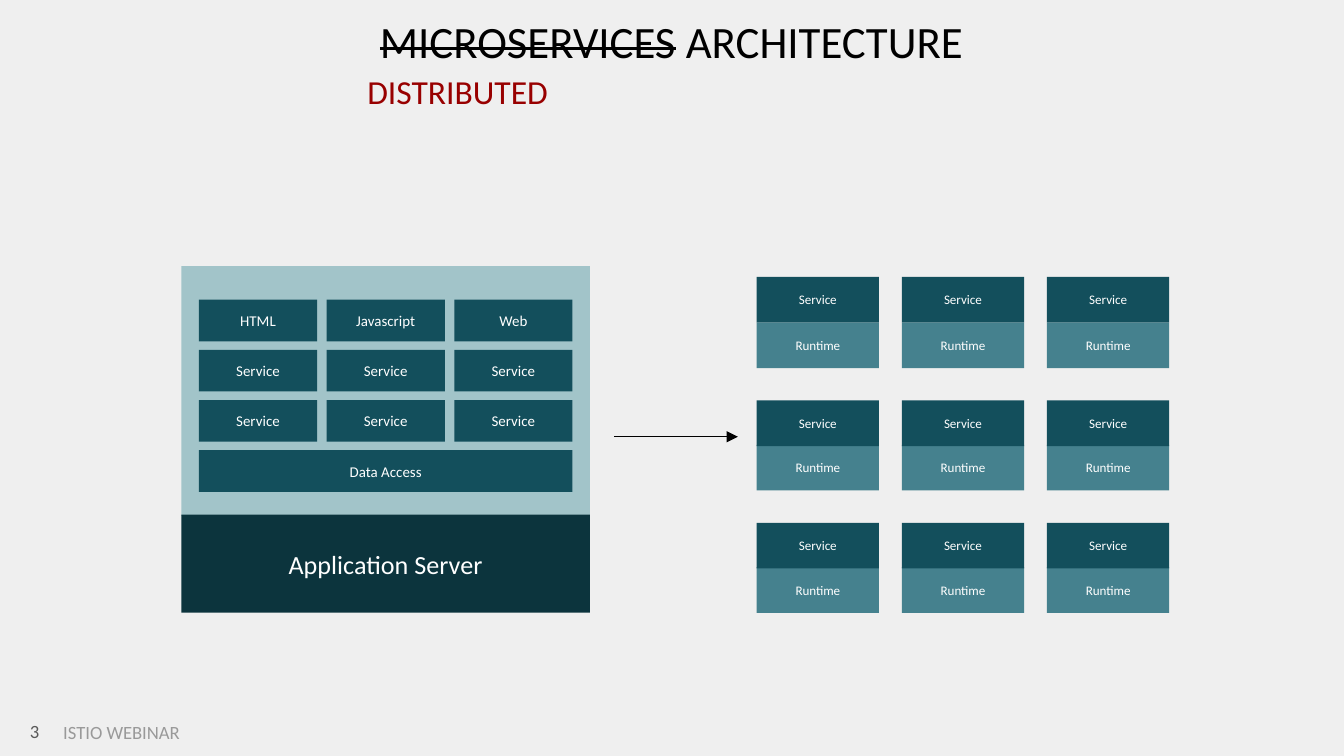
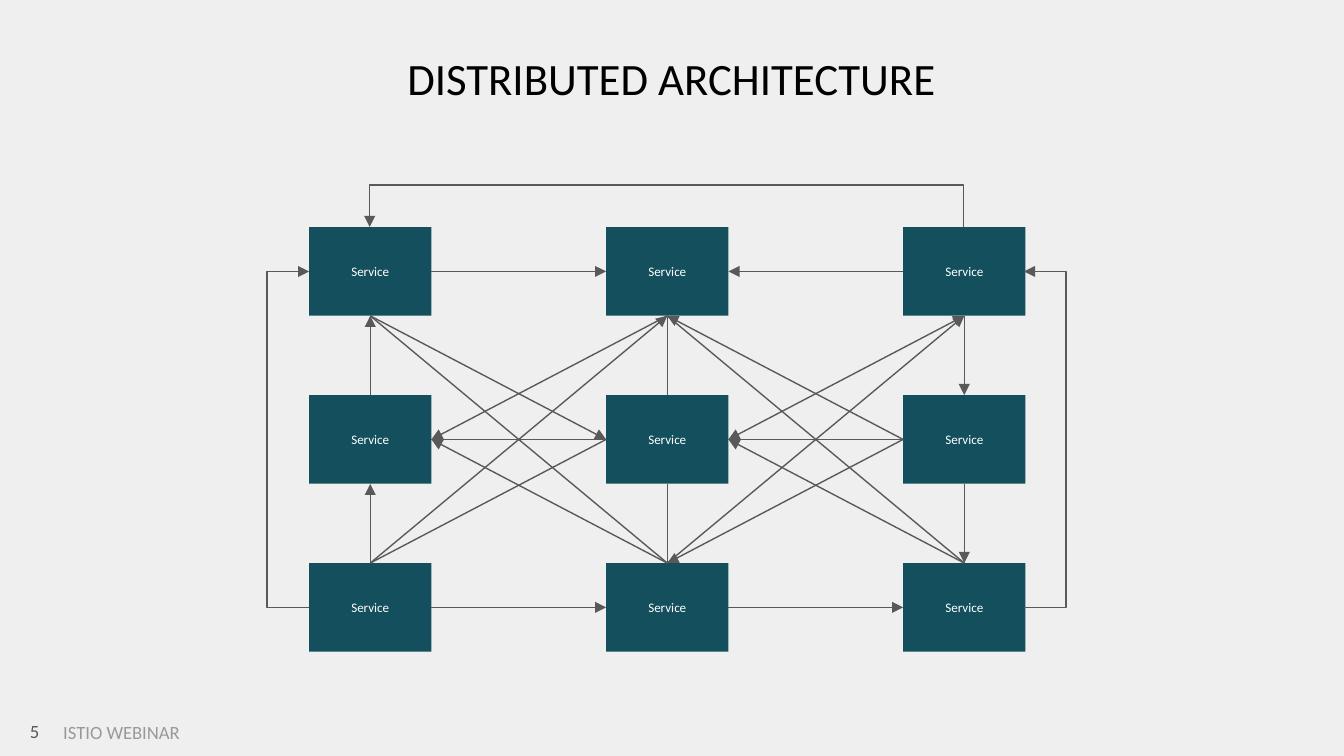
from lxml import etree
from pptx import Presentation
from pptx import util as u
from pptx.dml.color import RGBColor
from pptx.enum import shapes, text
from pptx.oxml.ns import qn

BACKGROUND = RGBColor(0xEF, 0xEF, 0xEF)
BLACK = RGBColor(0x00, 0x00, 0x00)
WHITE = RGBColor(0xFF, 0xFF, 0xFF)
GRAY = RGBColor(0x59, 0x59, 0x59)
LIGHT_GRAY = RGBColor(0x99, 0x99, 0x99)
RED = RGBColor(0x98, 0x00, 0x00)
TEAL = RGBColor(0x13, 0x4F, 0x5C)
DARK_TEAL = RGBColor(0x0C, 0x34, 0x3D)
MID_TEAL = RGBColor(0x45, 0x81, 0x8E)
PALE_TEAL = RGBColor(0xA2, 0xC4, 0xC9)

LEFT, CENTER, RIGHT = text.PP_ALIGN.LEFT, text.PP_ALIGN.CENTER, text.PP_ALIGN.RIGHT
ANCHOR_TOP, ANCHOR_MIDDLE = text.MSO_ANCHOR.TOP, text.MSO_ANCHOR.MIDDLE
STRAIGHT, ELBOW = shapes.MSO_CONNECTOR.STRAIGHT, shapes.MSO_CONNECTOR.ELBOW
FRAME = {"word_wrap": True, "auto_size": text.MSO_AUTO_SIZE.NONE}
FRAME.update({f"margin_{side}": u.Inches(0.1)
              for side in ("left", "top", "right", "bottom")})


def box(parent, area, label, size, color=WHITE, fill=None,
        align=CENTER, anchor=ANCHOR_MIDDLE):
    """Add a filled rectangle, or a plain text box when there is no fill."""
    place = [u.Inches(value) for value in area]
    if fill is None:
        part = parent.add_textbox(*place)
    else:
        part = parent.add_shape(shapes.MSO_SHAPE.RECTANGLE, *place)
        part.shadow.inherit = False
        part.fill.solid()
        part.fill.fore_color.rgb = fill
        part.line.fill.background()
    for key, value in {**FRAME, "vertical_anchor": anchor}.items():
        setattr(part.text_frame, key, value)
    if label:
        paragraph = part.text_frame.paragraphs[0]
        paragraph.alignment = align
        run = paragraph.add_run()
        run.text = label
        run.font.color.rgb = color
        for key, value in {"name": "Calibri", "size": u.Pt(size)}.items():
            setattr(run.font, key, value)
    return part


def style_line(connector, color, arrows):
    """Style a connector; arrows holds "head" and/or "tail"."""
    connector.line.color.rgb = color
    connector.line.width = u.Pt(0.75)
    for end in ("head", "tail"):
        if end in arrows:
            etree.SubElement(connector.line._get_or_add_ln(),
                             qn(f"a:{end}End"), type="triangle")
    etree.SubElement(connector._element.spPr, qn("a:effectLst"))


# Deck in 16:9, background, titles and footers
deck = Presentation()
deck.slide_width = u.Inches(10)
deck.slide_height = deck.slide_width * 9 // 16
deck.slide_master.background.fill.solid()
deck.slide_master.background.fill.fore_color.rgb = BACKGROUND
layout = deck.slide_layouts[5]

headings = [
    ("3", ANCHOR_TOP, ["MICROSERVICES", " ARCHITECTURE"]),
    ("5", ANCHOR_MIDDLE, ["DISTRIBUTED ARCHITECTURE"]),
]
for number, anchor, pieces in headings:
    slide = deck.slides.add_slide(layout)
    title = slide.shapes.title
    title.left, title.top = u.Inches(0.9), u.Inches(0)
    title.width, title.height = u.Inches(8.19), u.Inches(1.16)
    for key, value in {**FRAME, "vertical_anchor": anchor}.items():
        setattr(title.text_frame, key, value)
    heading = title.text_frame.paragraphs[0]
    heading.alignment = CENTER
    for piece in pieces:
        run = heading.add_run()
        run.text = piece
        run.font.color.rgb = BLACK
        for key, value in {"name": "Calibri", "size": u.Pt(24)}.items():
            setattr(run.font, key, value)
    box(slide.shapes, (0, 5.26, 0.39, 0.36), number, 10, GRAY,
        align=RIGHT, anchor=ANCHOR_TOP)

migration, mesh = deck.slides

# The footer belongs to the layout, so every slide shows it
footer = box(migration.shapes, (0.34, 5.26, 1.85, 0.21), "ISTIO WEBINAR", 10,
             LIGHT_GRAY, align=LEFT, anchor=ANCHOR_TOP)
footer.text_frame.margin_left = u.Inches(0.13)
layout.shapes._spTree.append(footer._element)

# Slide 1: struck-out word and its replacement
struck = migration.shapes.title.text_frame.paragraphs[0].runs[0]
struck._r.get_or_add_rPr().set("strike", "sngStrike")
box(migration.shapes, (1.77, 0.51, 3.27, 0.34), "DISTRIBUTED", 18, RED)

# Slide 1: monolith on an application server
monolith = migration.shapes.add_group_shape().shapes
box(monolith, (1.35, 1.98, 3.04, 1.86), "", 8, fill=PALE_TEAL)
box(monolith, (1.35, 3.83, 3.04, 0.73), "Application Server", 14, fill=DARK_TEAL)
modules_top, data_top = 2.23, 3.35
modules_by_row = [["HTML", "Javascript", "Web"], ["Service"] * 3, ["Service"] * 3]
row_step = (data_top - modules_top) / len(modules_by_row)
for row, labels in enumerate(modules_by_row):
    for column, label in enumerate(labels):
        area = (1.48 + 0.95 * column, modules_top + row_step * row, 0.88, 0.31)
        box(monolith, area, label, 8, fill=TEAL)
box(monolith, (1.48, data_top, 2.78, 0.31), "Data Access", 8, fill=TEAL)

# Slide 1: arrow to the separate services
step = migration.shapes.add_connector(
    STRAIGHT, u.Inches(4.57), u.Inches(3.25), u.Inches(5.49), u.Inches(3.25))
style_line(step, BLACK, ["tail"])

for service_top, runtime_top in ((2.06, 2.4), (2.98, 3.31), (3.89, 4.22)):
    for column in range(3):
        left = 5.63 + 1.08 * column
        box(migration.shapes, (left, runtime_top, 0.91, 0.34), "Runtime", 7, fill=MID_TEAL)
        box(migration.shapes, (left, service_top, 0.91, 0.34), "Service", 7, fill=TEAL)

# Slide 2: three by three services, keyed by row and column
services = {}
for row in range(3):
    for column in range(3):
        area = (2.3 + 2.21 * column, 1.69 + 1.25 * row, 0.91, 0.66)
        services[row, column] = box(mesh.shapes, area, "Service", 7, fill=TEAL)

# Slide 2: straight calls as service, side, service, side, arrowheads
TOP_SIDE, LEFT_SIDE, BOTTOM_SIDE, RIGHT_SIDE = range(4)
calls = [
    # Along rows
    ((0, 0), RIGHT_SIDE, (0, 1), LEFT_SIDE, ["tail"]),
    ((0, 1), RIGHT_SIDE, (0, 2), LEFT_SIDE, ["head"]),
    ((1, 1), LEFT_SIDE, (1, 0), RIGHT_SIDE, []),
    ((1, 1), RIGHT_SIDE, (1, 2), LEFT_SIDE, []),
    ((2, 0), RIGHT_SIDE, (2, 1), LEFT_SIDE, ["tail"]),
    ((2, 1), RIGHT_SIDE, (2, 2), LEFT_SIDE, ["tail"]),
    # Along columns
    ((0, 0), BOTTOM_SIDE, (1, 0), TOP_SIDE, ["head"]),
    ((1, 0), BOTTOM_SIDE, (2, 0), TOP_SIDE, ["head"]),
    ((0, 1), BOTTOM_SIDE, (1, 1), TOP_SIDE, []),
    ((1, 1), BOTTOM_SIDE, (2, 1), TOP_SIDE, []),
    ((0, 2), BOTTOM_SIDE, (1, 2), TOP_SIDE, ["tail"]),
    ((1, 2), BOTTOM_SIDE, (2, 2), TOP_SIDE, ["tail"]),
    # Diagonals
    ((2, 0), TOP_SIDE, (1, 1), LEFT_SIDE, []),
    ((1, 1), LEFT_SIDE, (0, 0), BOTTOM_SIDE, ["head"]),
    ((1, 1), RIGHT_SIDE, (0, 2), BOTTOM_SIDE, ["head", "tail"]),
    ((1, 1), RIGHT_SIDE, (2, 2), TOP_SIDE, ["head"]),
    ((2, 1), TOP_SIDE, (0, 2), BOTTOM_SIDE, ["tail"]),
    ((2, 1), TOP_SIDE, (0, 0), BOTTOM_SIDE, []),
    ((0, 1), BOTTOM_SIDE, (2, 0), TOP_SIDE, ["head"]),
    ((0, 1), BOTTOM_SIDE, (2, 2), TOP_SIDE, []),
    ((1, 2), LEFT_SIDE, (2, 1), TOP_SIDE, ["tail"]),
    ((2, 1), TOP_SIDE, (1, 0), RIGHT_SIDE, ["tail"]),
    ((1, 0), RIGHT_SIDE, (0, 1), BOTTOM_SIDE, ["head"]),
    ((0, 1), BOTTOM_SIDE, (1, 2), LEFT_SIDE, ["head"]),
]
for caller, caller_side, callee, callee_side, arrows in calls:
    call = mesh.shapes.add_connector(STRAIGHT, 0, 0, 0, 0)
    call.begin_connect(services[caller], caller_side)
    call.end_connect(services[callee], callee_side)
    style_line(call, GRAY, arrows)

# Slide 2: detours round the grid as left, top, height, degrees, flip, side, arrow
SLIVER = u.Emu(600)
REACH = round(u.Inches(0.26) / SLIVER * 100000)
detours = [
    (4.96, -0.52, 4.42, 270, True, -1, "head"),
    (2.3, 2.02, 2.5, 180, True, -1, "tail"),
    (7.62, 2.02, 2.5, 0, False, 1, "head"),
]
for left, top, height, degrees, flipped, direction, arrow in detours:
    detour = mesh.shapes.add_connector(
        ELBOW, u.Inches(left), u.Inches(top),
        u.Inches(left) + SLIVER, u.Inches(top + height))
    frame = detour._element.spPr.find(qn("a:xfrm"))
    if degrees:
        frame.set("rot", str(degrees * 60000))
    if flipped:
        frame.set("flipH", "1")
    bends = detour._element.spPr.find(qn("a:prstGeom")).find(qn("a:avLst"))
    etree.SubElement(bends, qn("a:gd"), name="adj1", fmla=f"val {direction * REACH}")
    style_line(detour, GRAY, [arrow])

deck.save("out.pptx")
